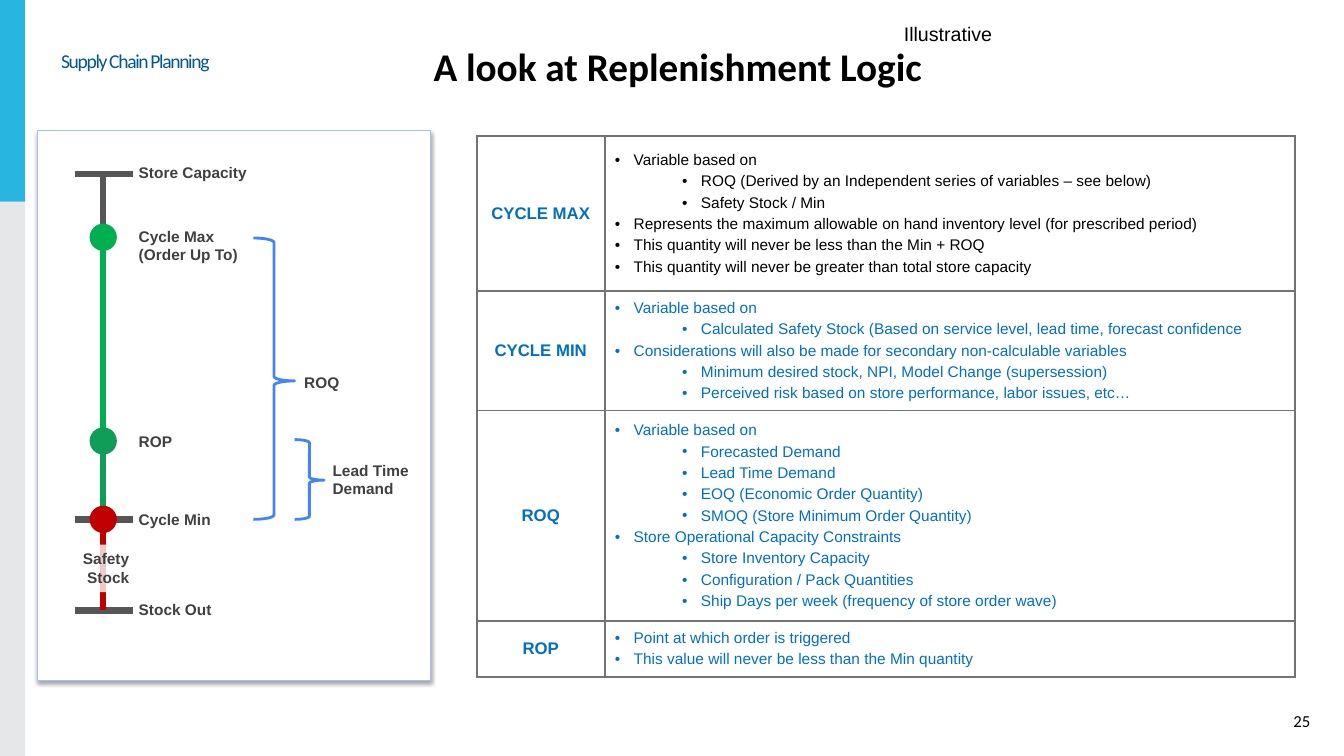
"""Builds the replenishment logic slide."""
from dataclasses import dataclass

from lxml import etree
from pptx import Presentation
from pptx.dml.color import RGBColor
from pptx.enum.shapes import MSO_CONNECTOR, MSO_SHAPE
from pptx.enum.text import MSO_ANCHOR, MSO_AUTO_SIZE, PP_ALIGN
from pptx.oxml.ns import qn
from pptx.util import Pt

RECT, OVAL, BRACE = MSO_SHAPE.RECTANGLE, MSO_SHAPE.OVAL, MSO_SHAPE.RIGHT_BRACE
STRAIGHT = MSO_CONNECTOR.STRAIGHT
LEFT, CENTER, RIGHT = PP_ALIGN.LEFT, PP_ALIGN.CENTER, PP_ALIGN.RIGHT
TOP, MIDDLE, BOTTOM = MSO_ANCHOR.TOP, MSO_ANCHOR.MIDDLE, MSO_ANCHOR.BOTTOM
FIT, FIXED = MSO_AUTO_SIZE.SHAPE_TO_FIT_TEXT, MSO_AUTO_SIZE.NONE


@dataclass(frozen=True)
class Theme:
    """Fonts, colours and type sizes."""
    heading: str = "Calibri"
    body: str = "Arial"
    black: str = "000000"
    white: str = "FFFFFF"
    sky: str = "28B5DF"
    silver: str = "E6E7E8"
    navy: str = "01598E"
    blue: str = "0070C0"
    brace: str = "4285F4"
    card_edge: str = "A1C2F9"
    label: str = "404040"
    bar: str = "565656"
    grid: str = "737373"
    green: str = "00B050"
    teal: str = "0F9D58"
    red: str = "C00000"
    title_size: int = 28
    note_size: int = 14
    small_size: int = 12
    label_size: int = 11


class SlideBuilder:
    """Draws styled elements on one slide, with lengths in points."""

    def __init__(self, slide, theme):
        self.s, self.t = slide, theme

    def font(self, p, size, color, bold=False, name=None):
        """Set the font of a paragraph."""
        f = p.font
        f.name, f.size, f.bold = name or self.t.body, Pt(size), bold
        f.color.rgb = RGBColor.from_string(color)

    def shape(self, kind, x, y, w, h, fill=None, line=None, weight=0.75):
        """Add a preset shape with optional fill and outline."""
        sp = self.s.shapes.add_shape(kind, Pt(x), Pt(y), Pt(w), Pt(h))
        sp.shadow.inherit = False
        if fill:
            sp.fill.solid()
            sp.fill.fore_color.rgb = RGBColor.from_string(fill)
        else:
            sp.fill.background()
        if line:
            sp.line.color.rgb = RGBColor.from_string(line)
            sp.line.width = Pt(weight)
        else:
            sp.line.fill.background()
        return sp

    def card(self, x, y, w, h):
        """Add a white panel with a soft shadow below it."""
        sp = self.shape(RECT, x, y, w, h, self.t.white, self.t.card_edge)
        effects = sp._element.spPr.find(qn("a:effectLst"))
        shadow = etree.SubElement(effects, qn("a:outerShdw"), blurRad=str(Pt(3.1)),
                                  dist=str(Pt(1.8)), dir="5400000", rotWithShape="0")
        color = etree.SubElement(shadow, qn("a:srgbClr"), val=self.t.black)
        etree.SubElement(color, qn("a:alpha"), val="35000")

    def veil(self, x, y, w, h):
        """Add a translucent white patch."""
        sp = self.shape(RECT, x, y, w, h, self.t.white)
        color = sp._element.spPr.find(qn("a:solidFill")).find(qn("a:srgbClr"))
        etree.SubElement(color, qn("a:alpha"), val="79000")
        return sp

    def brace(self, x, y, w, h):
        """Add a right brace."""
        sp = self.shape(BRACE, x, y, w, h, line=self.t.brace, weight=2)
        sp.adjustments[0], sp.adjustments[1] = 0.107, 0.508

    def line(self, x1, y1, x2, y2, color):
        """Add a thick straight line."""
        c = self.s.shapes.add_connector(STRAIGHT, Pt(x1), Pt(y1), Pt(x2), Pt(y2))
        c.line.color.rgb = RGBColor.from_string(color)
        c.line.width = Pt(4.5)
        etree.SubElement(c._element.spPr, qn("a:effectLst"))

    def text(self, x, y, w, h, lines, size, color, bold=False, name=None,
             align=LEFT, anchor=TOP, wrap=False, sp=None):
        """Write lines in a given shape or in a new text box."""
        sp = sp or self.s.shapes.add_textbox(Pt(x), Pt(y), Pt(w), Pt(h))
        tf = sp.text_frame
        tf.word_wrap, tf.vertical_anchor = wrap, anchor
        tf.auto_size = FIXED if wrap else FIT
        for i, content in enumerate(lines):
            p = tf.add_paragraph() if i else tf.paragraphs[0]
            p.add_run().text = content
            p.alignment = align
            self.font(p, size, color, bold, name)
        return tf

    def label(self, x, y, w, *lines, veiled=False):
        """Add a bold diagram label, on a veil if asked."""
        h = 21 if len(lines) == 1 else 34
        sp = self.veil(x, y, w, h) if veiled else None
        self.text(x, y, w, h, lines, self.t.label_size, self.t.label, True,
                  align=RIGHT if veiled else LEFT, sp=sp)

    def cell(self, cell):
        """Clear the fill of a table cell and border it."""
        cell.vertical_anchor = MIDDLE
        cell.fill.background()
        tc_pr = cell._tc.get_or_add_tcPr()
        for i, side in enumerate(("a:lnL", "a:lnR", "a:lnT", "a:lnB")):
            ln = etree.Element(qn(side), w=str(Pt(1.5)))
            fill = etree.SubElement(ln, qn("a:solidFill"))
            etree.SubElement(fill, qn("a:srgbClr"), val=self.t.grid)
            tc_pr.insert(i, ln)

    def bullet(self, p, content, nested, color):
        """Write one bulleted paragraph."""
        p.add_run().text = content
        p.space_after = Pt(3)
        p_pr = p._p.get_or_add_pPr()
        p_pr.set("marL", str(Pt(61.5 if nested else 13.5)))
        p_pr.set("indent", str(Pt(-13.5)))
        etree.SubElement(p_pr, qn("a:buFont"), typeface=self.t.body)
        etree.SubElement(p_pr, qn("a:buChar"), char="•")
        self.font(p, self.t.label_size, color)

    def table(self, x, y, widths, rows):
        """Add a table of terms with bulleted explanations."""
        height = sum(row[1] for row in rows)
        tbl = self.s.shapes.add_table(len(rows), len(widths), Pt(x), Pt(y),
                                      Pt(sum(widths)), Pt(height)).table
        tbl.first_row = tbl.horz_banding = False
        for col, width in zip(tbl.columns, widths):
            col.width = Pt(width)
        for row, (term, row_height, color, items) in zip(tbl.rows, rows):
            row.height = Pt(row_height)
            head, detail = row.cells
            self.cell(head)
            self.cell(detail)
            p = head.text_frame.paragraphs[0]
            p.add_run().text = term
            p.alignment = CENTER
            self.font(p, self.t.small_size, self.t.blue, True)
            tf = detail.text_frame
            for i, (nested, content) in enumerate(items):
                p = tf.add_paragraph() if i else tf.paragraphs[0]
                self.bullet(p, content, nested, color)


def main():
    """Build and save the slide."""
    prs = Presentation()
    prs.slide_width, prs.slide_height = Pt(960), Pt(540)
    t = Theme()
    b = SlideBuilder(prs.slides.add_slide(prs.slide_layouts[6]), t)

    b.shape(RECT, 0, 144, 18, 396, t.silver)
    b.shape(RECT, 0, 0, 18, 144, t.sky)
    number = b.text(900, 504, 36, 18, ["25"], t.small_size, t.black, name=t.heading,
                    align=RIGHT, anchor=BOTTOM, wrap=True)
    number.margin_left = number.margin_right = number.margin_top = number.margin_bottom = 0
    b.text(42, 26.5, 884, 37, ["A look at Replenishment Logic"], t.title_size, t.black,
           True, t.heading, CENTER, wrap=True)
    section = b.text(36.5, 28, 228, 27.5, ["Supply Chain Planning"], t.note_size, t.navy,
                     name=t.heading, anchor=BOTTOM, wrap=True)
    section.paragraphs[0].runs[0].font._element.set("spc", "-100")
    b.text(631.5, 12, 91.5, 29, ["Illustrative"], t.note_size, t.black, align=CENTER)

    b.card(26.5, 93.5, 281, 392.5)
    axis, capacity, cycle_max, rop, cycle_min, stock_out = 73.5, 124.5, 169.5, 315, 371, 436
    for y in (capacity, cycle_min, stock_out):
        b.line(53.5, y, 95, y, t.bar)
    for top, bottom, color in ((capacity, cycle_max, t.bar), (cycle_max, rop, t.green),
                               (rop, cycle_min, t.teal), (cycle_min, stock_out, t.red)):
        b.line(axis, top, axis, bottom, color)
    b.label(52, 389, 47.5, "Safety", "Stock", veiled=True)
    b.label(210, 263, 39.5, "ROQ", veiled=True)
    b.brace(181, 170, 29.5, 201)
    b.brace(210.5, 314, 21, 57)
    for y, color in ((cycle_min, t.red), (rop, t.teal), (cycle_max, t.green)):
        b.shape(OVAL, axis - 9.5, y - 9.75, 19.5, 19.5, color)
    for y, w, *lines in ((113, 92, "Store Capacity"), (158.5, 86.5, "Cycle Max", "(Order Up To)"),
                         (305, 39, "ROP"), (361, 66, "Cycle Min"), (425, 67, "Stock Out")):
        b.label(92, y, w, *lines)
    b.label(230.5, 325.5, 69, "Lead Time", "Demand")

    b.table(340.5, 97, (91.5, 493), (
        ("CYCLE MAX", 111, t.black, (
            (0, "Variable based on"),
            (1, "ROQ (Derived by an Independent series of variables – see below)"),
            (1, "Safety Stock / Min"),
            (0, "Represents the maximum allowable on hand inventory level (for prescribed period)"),
            (0, "This quantity will never be less than the Min + ROQ"),
            (0, "This quantity will never be greater than total store capacity"))),
        ("CYCLE MIN", 85, t.blue, (
            (0, "Variable based on"),
            (1, "Calculated Safety Stock (Based on service level, lead time, forecast confidence"),
            (0, "Considerations will also be made for secondary non-calculable variables"),
            (1, "Minimum desired stock, NPI, Model Change (supersession)"),
            (1, "Perceived risk based on store performance, labor issues, etc…"))),
        ("ROQ", 150, t.blue, (
            (0, "Variable based on"), (1, "Forecasted Demand"), (1, "Lead Time Demand"),
            (1, "EOQ (Economic Order Quantity)"), (1, "SMOQ (Store Minimum Order Quantity)"),
            (0, "Store Operational Capacity Constraints"), (1, "Store Inventory Capacity"),
            (1, "Configuration / Pack Quantities"),
            (1, "Ship Days per week (frequency of store order wave)"))),
        ("ROP", 40, t.blue, (
            (0, "Point at which order is triggered"),
            (0, "This value will never be less than the Min quantity")))))
    prs.save("out.pptx")


if __name__ == "__main__":
    main()
